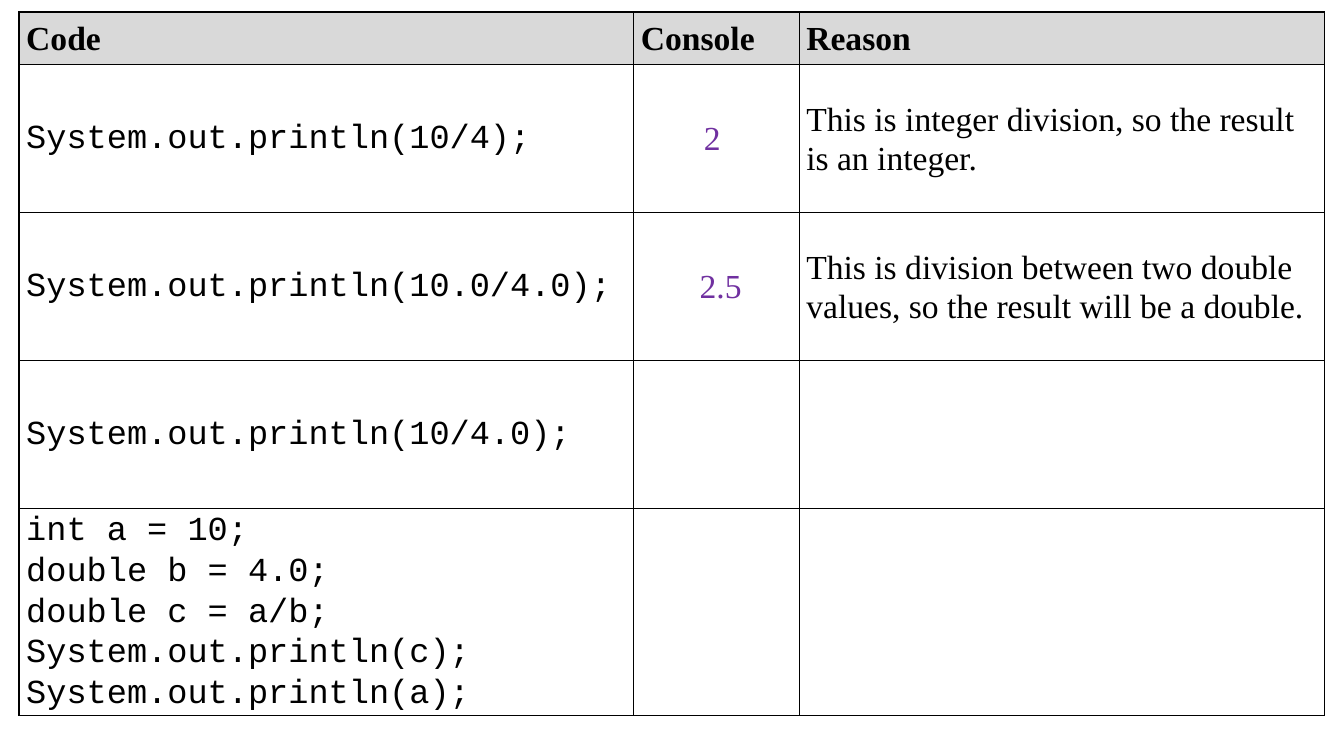
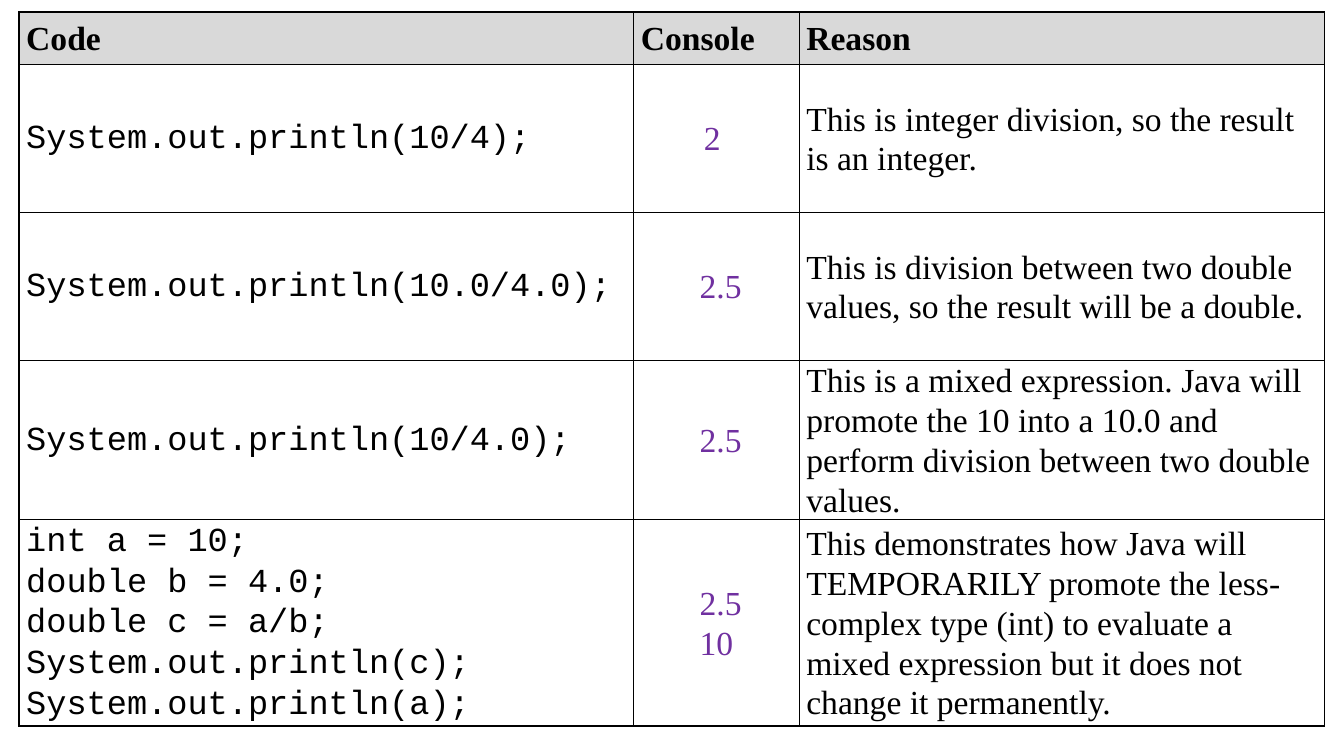
from lxml import etree
from pptx import Presentation
from pptx.dml.color import RGBColor
from pptx.enum.text import MSO_ANCHOR, PP_ALIGN
from pptx.oxml.ns import qn
from pptx.util import Cm, Pt

MIDDLE = MSO_ANCHOR.MIDDLE
LEFT, CENTER = PP_ALIGN.LEFT, PP_ALIGN.CENTER

BLACK, PURPLE, HEADER_GREY = "000000", "7030A0", "D9D9D9"
SERIF, MONO = "Times New Roman", "Courier New"
BLANK_LAYOUT = 6

# Shared table geometry, in centimetres
TABLE_LEFT, TABLE_TOP = 0.48, 0.3
COLUMN_WIDTHS = (15.49, 4.17, 13.23)
ROW_HEIGHTS = (1.32, 3.73, 3.73, 3.73, 5.21)
SIDE_MARGIN = 0.18

# Font, colour and alignment of the code, console and reason columns
COLUMN_STYLES = ((MONO, BLACK, LEFT), (SERIF, PURPLE, CENTER), (SERIF, BLACK, LEFT))
HEADER_STYLE = (SERIF, BLACK, LEFT)

HEADINGS = ("Code", "Console", "Reason")
SNIPPETS = (
    ["System.out.println(10/4);"],
    ["System.out.println(10.0/4.0);"],
    ["System.out.println(10/4.0);"],
    ["int a = 10;", "double b = 4.0;", "double c = a/b;",
     "System.out.println(c);", "System.out.println(a);"],
)
# Console lines and reason for each snippet; the no-break spaces nudge the centring
ANSWERS = (
    (["2 "], "This is integer division, so the result is an integer."),
    ([" 2.5"], "This is division between two double values, "
               "so the result will be a double."),
    ([" 2.5"], "This is a mixed expression. Java will promote the 10 into a 10.0 "
               "and perform division between two double values."),
    ([" 2.5", "10"], "This demonstrates how Java will TEMPORARILY promote the "
                     "less-complex type (int) to evaluate a mixed expression "
                     "but it does not change it permanently."),
)
ANSWERS_SHOWN = (2, 4)  # one slide for each count


def color(hex_string):
    return RGBColor.from_string(hex_string)


def add_borders(cell):
    """Draw a thin black line on all four sides of the cell."""
    properties = cell._tc.get_or_add_tcPr()
    for side in ("a:lnL", "a:lnR", "a:lnT", "a:lnB"):
        line = etree.SubElement(properties, qn(side), w=str(Pt(1)))
        fill = etree.SubElement(line, qn("a:solidFill"))
        etree.SubElement(fill, qn("a:srgbClr"), val=BLACK)


def format_cell(cell, fill=None):
    cell.vertical_anchor = MIDDLE
    cell.margin_left = cell.margin_right = Cm(SIDE_MARGIN)
    cell.margin_top = cell.margin_bottom = 0
    add_borders(cell)
    if fill:
        cell.fill.solid()
        cell.fill.fore_color.rgb = color(fill)
    else:
        cell.fill.background()


def write_lines(cell, lines, style, bold=False):
    """Write each line as its own paragraph."""
    font_name, text_color, alignment = style
    for index, line in enumerate(lines):
        frame = cell.text_frame
        paragraph = frame.add_paragraph() if index else frame.paragraphs[0]
        paragraph.alignment = alignment
        paragraph.line_spacing = 1.07
        run = paragraph.add_run()
        run.text = line
        run.font.name = font_name
        run.font.size = Pt(24)
        run.font.bold = bold
        run.font.color.rgb = color(text_color)


def add_division_table(slide, left, top, answers_shown):
    """Place the division table, with the first few answers filled in."""
    table = slide.shapes.add_table(
        len(ROW_HEIGHTS), len(COLUMN_WIDTHS), Cm(left), Cm(top),
        Cm(sum(COLUMN_WIDTHS)), Cm(sum(ROW_HEIGHTS))).table
    table.horz_banding = False
    for column, width in zip(table.columns, COLUMN_WIDTHS):
        column.width = Cm(width)
    for row, height in zip(table.rows, ROW_HEIGHTS):
        row.height = Cm(height)

    # Header row
    for cell, heading in zip(table.rows[0].cells, HEADINGS):
        format_cell(cell, HEADER_GREY)
        write_lines(cell, [heading], HEADER_STYLE, bold=True)

    # One row per snippet
    for number, (snippet, (console, reason)) in enumerate(zip(SNIPPETS, ANSWERS), 1):
        answered = number <= answers_shown
        contents = (snippet, console, [reason]) if answered else (snippet, [], [])
        for cell, lines, style in zip(table.rows[number].cells, contents, COLUMN_STYLES):
            format_cell(cell)
            write_lines(cell, lines, style)


def main():
    presentation = Presentation()
    presentation.slide_width, presentation.slide_height = Cm(33.87), Cm(19.05)
    layout = presentation.slide_layouts[BLANK_LAYOUT]
    for answers_shown in ANSWERS_SHOWN:
        slide = presentation.slides.add_slide(layout)
        add_division_table(slide, TABLE_LEFT, TABLE_TOP, answers_shown)
    presentation.save("out.pptx")


if __name__ == "__main__":
    main()
